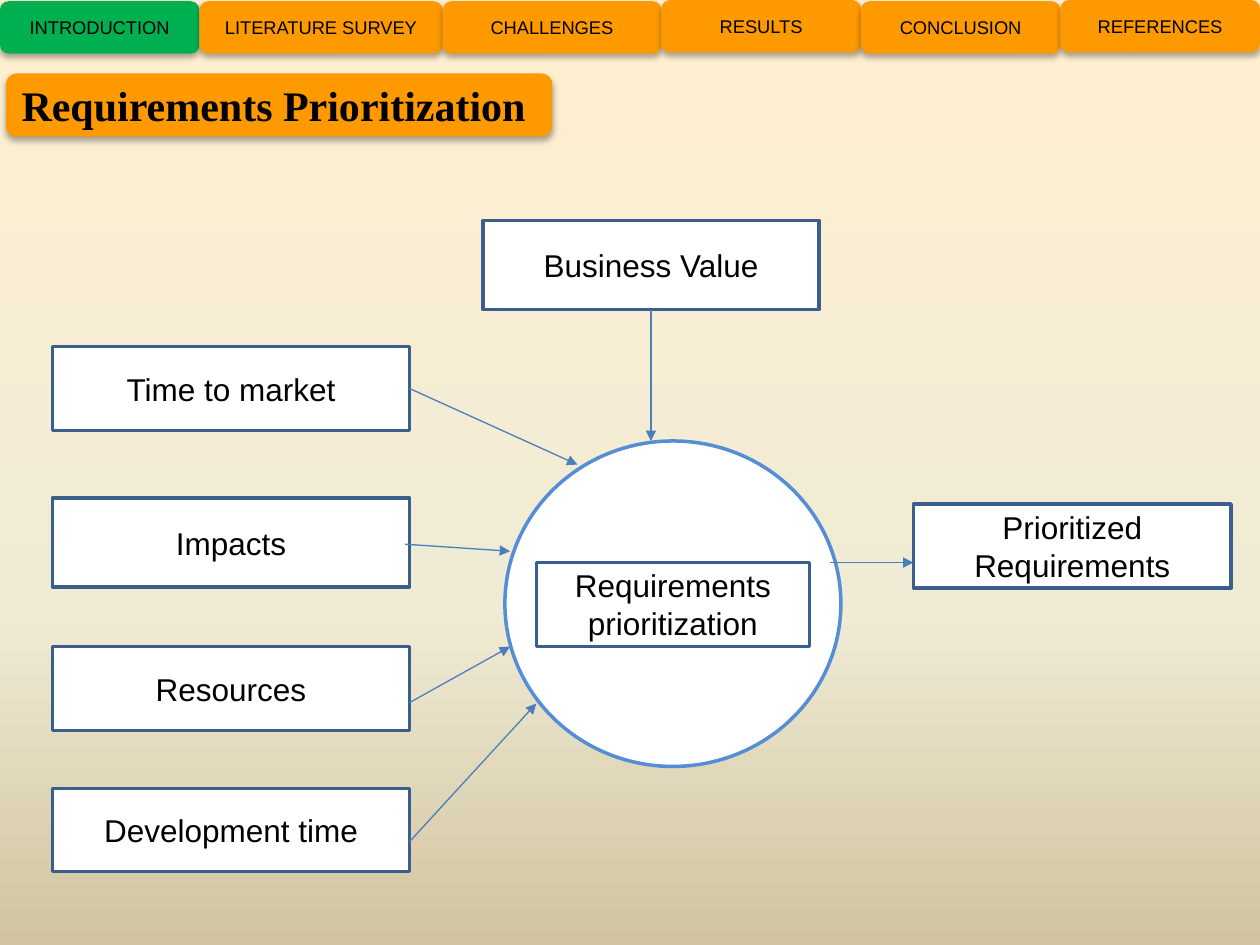
"""Build the requirements prioritization slide."""
from dataclasses import dataclass
from copy import deepcopy
from typing import Optional

from lxml.etree import SubElement
from pptx import Presentation
from pptx.dml.color import RGBColor as Color
from pptx.enum.shapes import MSO_CONNECTOR as Connector, MSO_SHAPE as Preset
from pptx.enum.text import MSO_ANCHOR as Anchor, PP_ALIGN as Align
from pptx.oxml.ns import qn
from pptx.util import Pt


@dataclass(frozen=True)
class Theme:
    background: tuple = ((0, "FFEFD1"), (0.65, "F0EBD5"), (1, "D1C39F"))
    tab: str = "FF9900"
    active_tab: str = "00B050"
    text: str = "000000"
    panel: str = "FFFFFF"
    border: str = "3A5F8C"
    circle: str = "558ED5"
    arrow: str = "4B7EBC"
    body_font: str = "Arial"
    title_font: str = "Times New Roman"
    tab_size: float = 10.5
    body_size: float = 18
    title_size: float = 24
    border_width: float = 2
    arrow_width: float = 0.75


THEME = Theme()


@dataclass(frozen=True)
class Tab:
    text: str
    width: float
    top: float = 0.75
    fill: str = THEME.tab


@dataclass(frozen=True)
class Box:
    text: str
    left: float
    top: float
    width: float
    height: float
    fill: Optional[str] = THEME.panel
    line: Optional[str] = THEME.border
    preset: Preset = Preset.RECTANGLE


@dataclass(frozen=True)
class Arrow:
    start: tuple
    end: tuple
    source: Optional[str] = None
    side: int = 3


TABS = (
    Tab("INTRODUCTION", 114, fill=THEME.active_tab),
    Tab("LITERATURE SURVEY", 139),
    Tab("CHALLENGES", 125),
    Tab("RESULTS", 114, top=0),
    Tab("CONCLUSION", 114),
    Tab("REFERENCES", 114, top=0),
)
TAB_HEIGHT = 30

BOXES = (
    Box("Requirements prioritization", 288.5, 252, 192, 186, line=THEME.circle, preset=Preset.OVAL),
    Box("", 306.5, 321.5, 156, 48, fill=None),
    Box("Time to market", 30, 198, 204, 48),
    Box("Impacts", 30, 284.5, 204, 51),
    Box("Resources", 30, 369.5, 204, 48),
    Box("Business Value", 276, 126, 192, 51),
    Box("Prioritized Requirements", 522, 288, 181.5, 48),
    Box("Development time", 30, 450.5, 204, 47.5),
)

ARROWS = (
    Arrow((234, 222), (330, 265.5), source="Time to market"),
    Arrow((231.5, 311), (291.5, 315)),
    Arrow((234, 401.5), (291.5, 369.5)),
    Arrow((234, 481), (306.5, 402)),
    Arrow((372, 177), (372, 252), source="Business Value", side=2),
    Arrow((474.5, 321.5), (522, 321.5)),
)


def paint_background(slide) -> None:
    fill = slide.background.fill
    fill.gradient()
    fill.gradient_angle = 270
    stop_list = slide.element.find(".//" + qn("a:gsLst"))
    stop_list.append(deepcopy(stop_list[-1]))
    for stop, (position, color) in zip(fill.gradient_stops, THEME.background):
        stop.position = position
        stop.color.rgb = Color.from_string(color)


def write_text(shape, text: str, *, size: float = THEME.body_size, font: str = THEME.body_font,
               bold: bool = False, align: Align = Align.CENTER) -> None:
    frame = shape.text_frame
    frame.word_wrap = True
    frame.vertical_anchor = Anchor.MIDDLE
    paragraph = frame.paragraphs[0]
    paragraph.alignment = align
    run = paragraph.add_run()
    run.text = text
    run.font.name = font
    run.font.size = Pt(size)
    run.font.bold = bold
    run.font.color.rgb = Color.from_string(THEME.text)


def draw_box(slide, box: Box):
    shape = slide.shapes.add_shape(box.preset, Pt(box.left), Pt(box.top), Pt(box.width), Pt(box.height))
    shape.shadow.inherit = False
    if box.fill:
        shape.fill.solid()
        shape.fill.fore_color.rgb = Color.from_string(box.fill)
    else:
        shape.fill.background()
    if box.line:
        shape.line.color.rgb = Color.from_string(box.line)
        shape.line.width = Pt(THEME.border_width)
    else:
        shape.line.fill.background()
    return shape


def draw_banner(slide, left: float, top: float, width: float, height: float, fill: str):
    shape = draw_box(slide, Box("", left, top, width, height, fill, None, Preset.ROUNDED_RECTANGLE))
    effects = shape.element.spPr.find(qn("a:effectLst"))
    shadow = SubElement(effects, qn("a:outerShdw"), blurRad=str(Pt(3.5)), dist=str(Pt(2.2)),
                        dir="5400000", rotWithShape="0")
    color = SubElement(shadow, qn("a:srgbClr"), val=THEME.text)
    SubElement(color, qn("a:alpha"), val="32000")
    return shape


def draw_arrow(slide, arrow: Arrow, shapes: dict) -> None:
    points = [Pt(value) for value in arrow.start + arrow.end]
    connector = slide.shapes.add_connector(Connector.STRAIGHT, *points)
    connector.line.color.rgb = Color.from_string(THEME.arrow)
    connector.line.width = Pt(THEME.arrow_width)
    properties = connector.element.spPr
    SubElement(properties.find(qn("a:ln")), qn("a:tailEnd"), type="triangle")
    SubElement(properties, qn("a:effectLst"))
    if arrow.source:
        connector.begin_connect(shapes[arrow.source], arrow.side)


def main() -> None:
    presentation = Presentation()
    presentation.slide_width, presentation.slide_height = Pt(720), Pt(540)
    slide = presentation.slides.add_slide(presentation.slide_layouts[6])
    paint_background(slide)

    left = 0
    for tab in TABS:
        shape = draw_banner(slide, left, tab.top, tab.width, TAB_HEIGHT, tab.fill)
        write_text(shape, tab.text, size=THEME.tab_size)
        left += tab.width

    title = draw_banner(slide, 3.5, 42, 312, 36, THEME.tab)
    write_text(title, "Requirements Prioritization", size=THEME.title_size,
               font=THEME.title_font, bold=True, align=Align.LEFT)

    shapes = {}
    for box in BOXES:
        shape = draw_box(slide, box)
        if box.text:
            write_text(shape, box.text)
            shapes[box.text] = shape
    for arrow in ARROWS:
        draw_arrow(slide, arrow, shapes)

    presentation.save("out.pptx")


if __name__ == "__main__":
    main()
